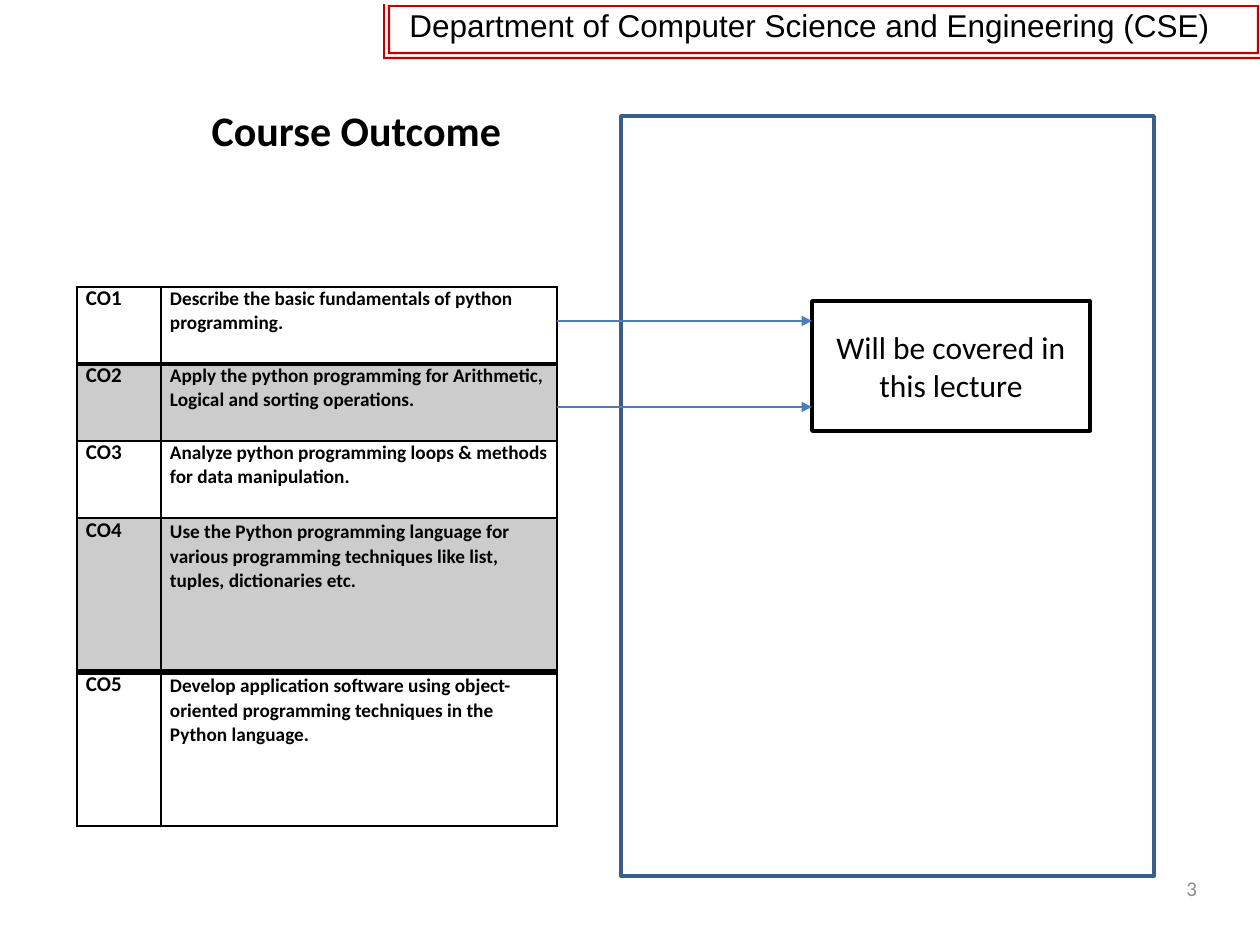
from lxml.etree import SubElement
from pptx import Presentation
from pptx.dml.color import RGBColor
from pptx.enum.shapes import MSO_CONNECTOR, MSO_SHAPE
from pptx.enum.text import MSO_ANCHOR, PP_ALIGN
from pptx.oxml.ns import qn
from pptx.util import Emu, Pt

HUES = {"ink": "000000", "paper": "FFFFFF", "shade": "CCCCCC", "frame": "395E89",
        "arrow": "4A7DBA", "red": "C00000", "page": "8C8C8C"}
ROWS = [
    ("CO1", ["Describe the basic fundamentals of python programming."], 13.6, 77, "paper"),
    ("CO2", ["Apply the python programming for Arithmetic, Logical and sorting operations."],
     13.7, 77, "shade"),
    ("CO3", ["Analyze python programming loops & methods for data manipulation."],
     13.6, 77, "paper"),
    ("CO4", ["Use the Python programming language for various programming techniques like list,",
             "tuples, dictionaries etc."], 13.7, 154, "shade"),
    ("CO5", ["Develop application software using object-oriented programming techniques in the",
             "Python language."], 13.8, 154, "paper"),
]
RULES = [1, 2, 1, 1, 4, 1]


def px(n):
    """Turn pixels into EMU."""
    return Emu(round(n * 914400 / 126))


def hue(name):
    """Look up a colour."""
    return RGBColor.from_string(HUES[name])


def style(para, size, tint="ink", face="Calibri", bold=False):
    """Set the font of a paragraph."""
    font = para.font
    font.size, font.name, font.bold = Pt(size), face, bold
    font.color.rgb = hue(tint)


def indent(para, left):
    """Indent a paragraph from the left."""
    props = para._p.get_or_add_pPr()
    props.set("marL", str(px(left)))
    props.set("indent", "0")


def label(slide, box, text, size, **look):
    """Add a text box and return its paragraph."""
    frame = slide.shapes.add_textbox(*map(px, box)).text_frame
    frame.word_wrap = True
    para = frame.paragraphs[0]
    para.text = text
    style(para, size, **look)
    return para


def banner(slide, box):
    """Draw the department name in its red double frame."""
    left, top, wide, high = box
    para = label(slide, (left - 63, 0, wide + 63, 50),
                 "Department of Computer Science and Engineering (CSE)", 18, face="Arial")
    indent(para, 77)
    right, base = left + wide, top + high
    inner = [(right - 1, top + 1), (left + 5, top + 1), (left + 5, base - 5),
             (right - 1, base - 5), (right - 1, top + 3), (right - 3, top + 3),
             (right - 3, base - 7), (left + 7, base - 7), (left + 7, top + 3),
             (right - 1, top + 3)]
    outer = [(right, base - 2), (left + 2, base - 2), (left + 2, top),
             (left, top), (left, base), (right, base)]
    pen = slide.shapes.build_freeform(*inner[0], scale=px(100) / 100)
    pen.add_line_segments(inner[1:])
    pen.move_to(*outer[0])
    pen.add_line_segments(outer[1:])
    shape = pen.convert_to_shape()
    shape.shadow.inherit = False
    shape.fill.solid()
    shape.fill.fore_color.rgb = hue("red")
    shape.line.fill.background()


def heading(slide, box):
    """Place the slide title."""
    title = slide.shapes.title
    title.left, title.top, title.width, title.height = map(px, box)
    frame = title.text_frame
    frame.text = "Course Outcome"
    frame.vertical_anchor = MSO_ANCHOR.TOP
    para = frame.paragraphs[0]
    para.alignment = PP_ALIGN.LEFT
    style(para, 24, bold=True)


def panel(slide, box, tint, fill=None):
    """Add an outlined rectangle."""
    shape = slide.shapes.add_shape(MSO_SHAPE.RECTANGLE, *map(px, box))
    shape.shadow.inherit = False
    shape.line.color.rgb, shape.line.width = hue(tint), Pt(2)
    if fill:
        shape.fill.solid()
        shape.fill.fore_color.rgb = hue(fill)
    else:
        shape.fill.background()
    return shape


def arrow(slide, start, end, y):
    """Draw a level arrow to the right."""
    line = slide.shapes.add_connector(MSO_CONNECTOR.STRAIGHT, *map(px, (start, y, end, y)))
    line.line.color.rgb, line.line.width = hue("arrow"), Pt(0.75)
    SubElement(line.line._get_or_add_ln(), qn("a:tailEnd"), type="triangle")
    SubElement(line._element.spPr, qn("a:effectLst"))


def note(slide, box, start):
    """Draw the lecture box and the arrows that reach it."""
    left, top = box[:2]
    shape = panel(slide, box, "ink", "paper")
    frame = shape.text_frame
    frame.word_wrap = True
    frame.vertical_anchor = MSO_ANCHOR.MIDDLE
    para = frame.paragraphs[0]
    para.text = "Will be covered in this lecture"
    para.alignment = PP_ALIGN.CENTER
    style(para, 18)
    for drop in (20, 106):
        arrow(slide, start, left, top + drop)


def border(cell, above, below):
    """Rule the four sides of a cell."""
    props = cell._tc.get_or_add_tcPr()
    for side, width in zip("LRTB", (1, 1, above, below)):
        line = SubElement(props, qn(f"a:ln{side}"), w=str(Pt(width)))
        fill = SubElement(line, qn("a:solidFill"))
        SubElement(fill, qn("a:srgbClr"), val=HUES["ink"])


def write(cell, texts, size, gaps):
    """Fill a cell with bold paragraphs."""
    cell.margin_left = cell.margin_right = cell.margin_top = cell.margin_bottom = 0
    frame = cell.text_frame
    frame.text = "\n".join(texts)
    for para, gap in zip(frame.paragraphs, gaps):
        indent(para, 9)
        para.line_spacing = gap
        style(para, size, bold=True)


def outcomes(slide, box):
    """Build the table of course outcomes."""
    wide = box[2]
    table = slide.shapes.add_table(len(ROWS), 2, *map(px, box)).table
    table.first_row = table.horz_banding = False
    table.columns[0].width, table.columns[1].width = px(84), px(wide - 84)
    for i, (code, texts, gap, high, tint) in enumerate(ROWS):
        table.rows[i].height = px(high)
        long = len(texts) > 1
        gaps = [1.07, Pt(gap)] if long else [Pt(gap)]
        write(table.cell(i, 0), [code], 12, [Pt(14.6 if long else gap)])
        write(table.cell(i, 1), texts, 11, gaps)
        for cell in table.rows[i].cells:
            border(cell, RULES[i], RULES[i + 1])
            cell.fill.solid()
            cell.fill.fore_color.rgb = hue(tint)


def number(slide, box):
    """Place the page number."""
    para = label(slide, box, "3", 12, tint="page")
    para.alignment = PP_ALIGN.RIGHT
    frame = slide.shapes[-1].text_frame
    frame.margin_left = frame.margin_right = frame.margin_top = frame.margin_bottom = 0


def main():
    """Build the slide and save it."""
    deck = Presentation()
    deck.slide_width, deck.slide_height = px(1260), px(945)
    slide = deck.slides.add_slide(deck.slide_layouts[5])
    number(slide, (914, 876, 283, 50))
    panel(slide, (621, 116, 533, 760), "frame")
    heading(slide, (199, 98, 379, 63))
    outcomes(slide, (77, 287, 480, 539))
    note(slide, (812, 301, 278, 130), 557)
    banner(slide, (383, 4, 877, 55))
    deck.save("out.pptx")


if __name__ == "__main__":
    main()
